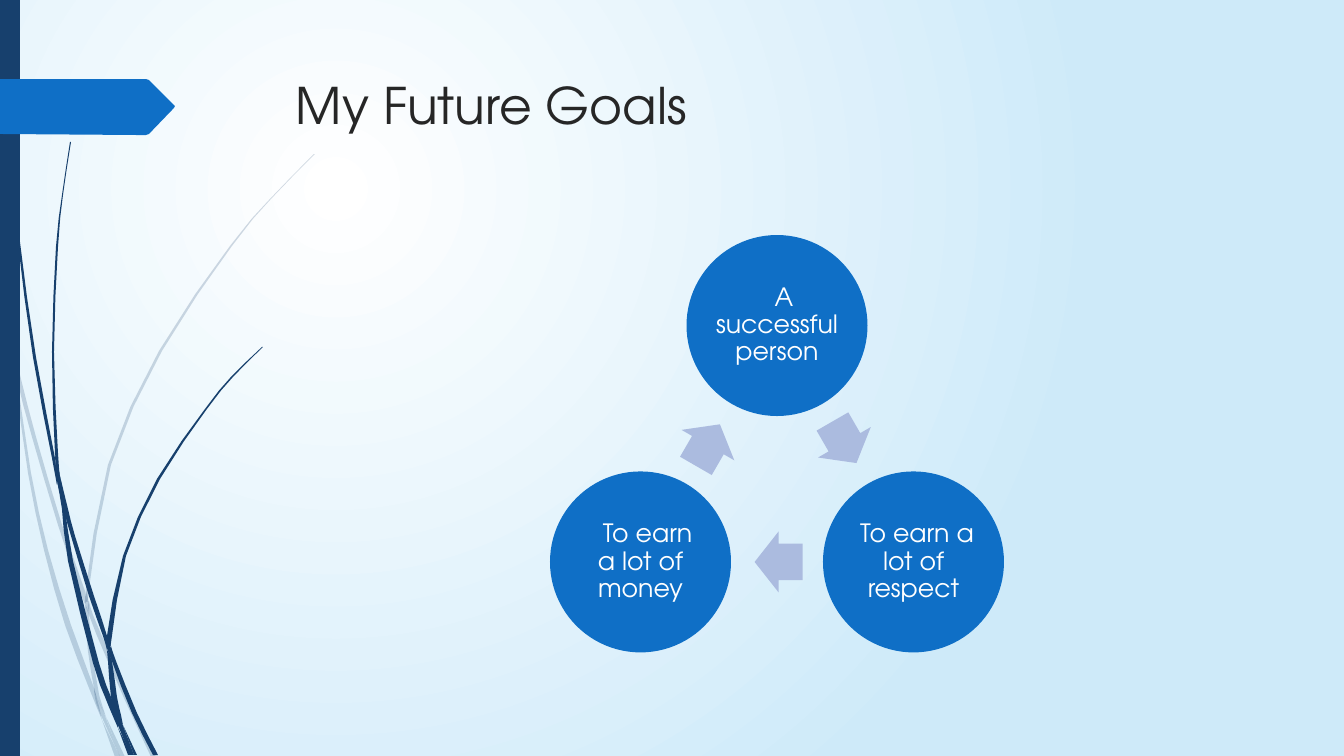
from dataclasses import dataclass
from math import cos, radians, sin

from lxml.etree import SubElement as Sub
from pptx import Presentation
from pptx.dml.color import RGBColor as Rgb
from pptx.enum.shapes import MSO_SHAPE as Kind
from pptx.enum.text import MSO_ANCHOR as Anchor, PP_ALIGN as Align
from pptx.oxml.ns import qn
from pptx.util import Pt

WIDE, HIGH = 1344, 756
PX = 12192000 / WIDE


@dataclass(frozen=True)
class Theme:
    font: str = "TeX Gyre Adventor"
    navy: str = "17406D"
    blue: str = "0F6FC6"
    pale: str = "ABBBDF"
    ink: str = "262626"
    white: str = "FFFFFF"
    sky: str = "CEEAF9"
    head: int = 36
    body: int = 18


THEME = Theme()

# Each blade of grass runs down through rows of (left, right, y).
FAINT = [
    [(0, 0, 284), (0, 4, 301), (5, 9, 325), (11, 11, 353)],
    [(14, 14, 348), (17, 21, 379), (32, 36, 437), (58, 62, 525), (80, 85, 591),
     (85, 85, 604)],
    [(89, 89, 601), (89, 93, 615), (106, 111, 657), (124, 128, 698),
     (151, 156, 757)],
    [(106, 106, 717), (120, 125, 757)],
    [(11, 11, 353), (15, 17, 379), (28, 31, 473), (44, 48, 550), (65, 71, 625),
     (89, 94, 688), (102, 102, 720)],
    [(85, 85, 604), (85, 89, 615), (88, 92, 651), (94, 98, 688),
     (97, 100, 698), (106, 106, 717)],
    [(314, 315, 154), (270, 271, 199), (230, 232, 246), (159, 162, 351),
     (108, 111, 465), (86, 89, 589), (89, 89, 601)],
    [(102, 102, 720), (115, 120, 757)],
    [(86, 86, 591), (85, 89, 603), (89, 89, 615)],
    [(94, 94, 688), (95, 97, 698), (100, 104, 713), (120, 120, 757)],
]
DARK = [
    [(3, 4, 0), (4, 5, 48), (7, 8, 110), (17, 19, 234), (33, 36, 357),
     (52, 55, 458), (57, 57, 485)],
    [(60, 60, 476), (64, 68, 509), (71, 75, 536), (89, 94, 596),
     (103, 107, 636), (107, 107, 650)],
    [(111, 111, 646), (112, 116, 661), (132, 137, 713), (153, 158, 755)],
    [(57, 57, 481), (62, 65, 509), (68, 73, 561), (93, 99, 663),
     (105, 111, 697), (112, 117, 714), (118, 118, 728)],
    [(70, 71, 142), (62, 63, 195), (56, 58, 247), (52, 54, 352), (55, 58, 453),
     (60, 60, 476)],
    [(123, 123, 725), (134, 137, 755)],
    [(55, 55, 453), (57, 61, 481), (65, 65, 509)],
    [(262, 263, 347), (231, 233, 377), (205, 207, 409), (157, 160, 479),
     (123, 126, 556), (107, 112, 636), (111, 111, 646)],
    [(118, 118, 728), (128, 132, 755)],
    [(107, 107, 650), (108, 112, 661), (111, 117, 697), (117, 121, 715),
     (123, 123, 725)],
    [(107, 107, 636), (107, 111, 648), (112, 112, 661)],
    [(111, 111, 697), (117, 122, 723), (131, 134, 755)],
]
TAG = [(0, 0), (146, 0), (149, 1), (174, 26), (175, 27), (174, 29), (149, 55),
       (146, 56), (137, 56), (0, 55)]
# Wording of each goal, with the indent of its first line.
GOALS = [("A successful person", 14), ("To earn a lot of respect", 7),
         ("To earn a lot of money", 14)]


def emu(px):
    return round(px * PX)


def paint(shape, tint, alpha=100):
    shape.shadow.inherit = False
    shape.fill.solid()
    shape.fill.fore_color.rgb = Rgb.from_string(tint)
    shape.line.fill.background()
    if alpha < 100:
        clr = shape._element.spPr.find(".//" + qn("a:srgbClr"))
        Sub(clr, qn("a:alpha"), val=str(alpha * 1000))


def outline(slide, points, tint, alpha=100):
    dots = [(emu(x), emu(y)) for x, y in points]
    form = slide.shapes.build_freeform(*dots[0], scale=1)
    form.add_line_segments(dots[1:], close=True)
    paint(form.convert_to_shape(), tint, alpha)


def preset(slide, kind, box, tint):
    shape = slide.shapes.add_shape(kind, *map(emu, box))
    paint(shape, tint)
    return shape


def label(slide, box, text, size, tint):
    shape = slide.shapes.add_textbox(*map(emu, box))
    frame = shape.text_frame
    frame.word_wrap = True
    frame.text = text
    font = frame.paragraphs[0].runs[0].font
    font.name, font.size = THEME.font, Pt(size)
    font.color.rgb = Rgb.from_string(tint)
    return frame


def smooth(rows, steps=2):
    """Return rows along a Catmull-Rom curve through the given ones."""
    first = [2 * a - b for a, b in zip(rows[0], rows[1])]
    last = [2 * a - b for a, b in zip(rows[-1], rows[-2])]
    ends = [first, *rows, last]
    out = []
    for quad in zip(ends, ends[1:], ends[2:], ends[3:]):
        for t in (k / steps for k in range(steps)):
            out.append([b + t * (c - a + t * (2 * a - 5 * b + 4 * c - d
                        + t * (3 * b - a - 3 * c + d))) / 2
                        for a, b, c, d in zip(*quad)])
    return out + [rows[-1]]


def backdrop(slide):
    fill = slide.background.fill
    fill.gradient()
    for stop, tint in zip(fill.gradient_stops, (THEME.white, THEME.sky)):
        stop.color.rgb = Rgb.from_string(tint)
    grad = slide._element.find(".//" + qn("a:gradFill"))
    grad.remove(grad.find(qn("a:lin")))
    ring = Sub(grad, qn("a:path"), path="circle")
    Sub(ring, qn("a:fillToRect"), l="50000", t="50000", r="100000", b="100000")


def grass(slide, left, top):
    for blades, alpha in ((FAINT, 20), (DARK, 100)):
        for blade in blades:
            rows = smooth(blade)
            edge = [(l, y) for l, r, y in rows]
            edge += [(r, y) for l, r, y in reversed(rows) if (r, y) not in edge]
            outline(slide, [(left + x, top + y) for x, y in edge],
                    THEME.navy, alpha)


def sidebar(slide, left, top, wide, high):
    grass(slide, left, top)
    preset(slide, Kind.RECTANGLE, (left, top, wide, high), THEME.navy)
    outline(slide, [(left + x, top + 79 + y) for x, y in TAG], THEME.blue)


def title(slide, *box):
    label(slide, box, "My Future Goals", THEME.head, THEME.ink)


def around(mid, wide, high):
    return mid[0] - wide / 2, mid[1] - high / 2, wide, high


def goal(slide, mid, size, text, indent):
    preset(slide, Kind.OVAL, around(mid, size, size), THEME.blue)
    frame = label(slide, around(mid, 128, 128), text, THEME.body, THEME.white)
    frame.margin_left = frame.margin_right = emu(2)
    frame.margin_top = frame.margin_bottom = emu(2)
    frame.vertical_anchor = Anchor.MIDDLE
    para = frame.paragraphs[0]
    para.alignment = Align.CENTER
    para.line_spacing = 0.9
    para._p.get_or_add_pPr().set("indent", str(emu(indent)))


def arrow(slide, start, end, turn):
    mid = [a + 0.494 * (b - a) for a, b in zip(start, end)]
    shape = preset(slide, Kind.RIGHT_ARROW, around(mid, 48, 61), THEME.pale)
    shape.adjustments[0], shape.adjustments[1] = 0.6, 0.5
    shape.rotation = turn


def cycle(slide, left, top, wide, size=181):
    """Place the goals evenly round a ring, an arrow between each two."""
    count = len(GOALS)
    step = 360 / count
    ring = (wide - size) / 2 / cos(radians(30))
    x, y = left + wide / 2, top + size / 2 + ring
    turns = [radians(step * i - 90) for i in range(count)]
    mids = [(x + ring * cos(t), y + ring * sin(t)) for t in turns]
    for i, (text, indent) in enumerate(GOALS):
        goal(slide, mids[i], size, text, indent)
        arrow(slide, mids[i], mids[(i + 1) % count], step * (i + 0.5))


def main():
    deck = Presentation()
    deck.slide_width, deck.slide_height = emu(WIDE), emu(HIGH)
    slide = deck.slides.add_slide(deck.slide_layouts[6])
    backdrop(slide)
    sidebar(slide, 0, 0, 20, HIGH)
    title(slide, 286, 69, 983, 141)
    cycle(slide, 550, 235, 454)
    deck.save("out.pptx")


if __name__ == "__main__":
    main()
